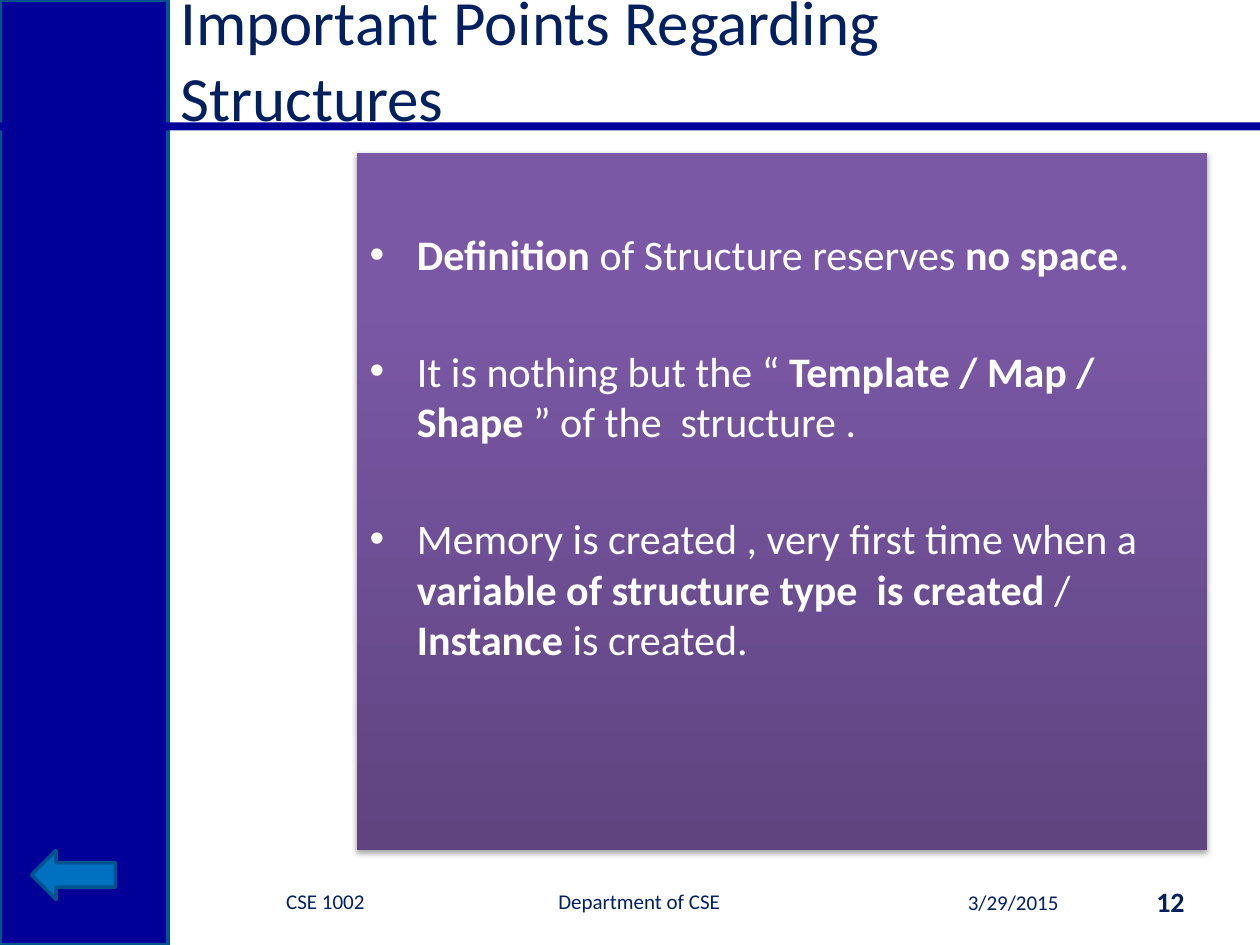
from pptx import Presentation
from pptx.dml.color import RGBColor
from pptx.enum.shapes import MSO_SHAPE as Preset
from pptx.enum.text import MSO_ANCHOR as Anchor, MSO_AUTO_SIZE as AutoSize, PP_ALIGN as Align
from pptx.oxml import parse_xml
from pptx.oxml.ns import nsdecls
from pptx.util import Pt

COLORS = {
    "navy": "000099", "outline": "00538E", "text": "002060", "arrow": "0070C0",
    "white": "FFFFFF", "shadow": "000000",
}
PANEL_STOPS = [(0, "5F4480"), (80, "7B58A6"), (100, "7C57A8")]
BULLETS = [
    [("Definition ", True), ("of Structure reserves ", False), ("no space", True), (".", False)],
    [("It is nothing but the “", False), (" Template / Map / Shape ", True),
     ("” of the  structure .", False)],
    [("Memory is created , very first time when a ", False),
     ("variable of structure type  is created", True), (" / ", False),
     ("Instance", True), (" is created.", False)],
]


class SlideBuilder:
    font_name = "Calibri"

    def __init__(self, slide):
        self.slide = slide

    def place(self, shape, box):
        for name, value in zip(("left", "top", "width", "height"), box):
            setattr(shape, name, Pt(value))

    def frame(self, shape, **formats):
        frame = shape.text_frame
        settings = {"word_wrap": True, "auto_size": AutoSize.NONE,
                    "vertical_anchor": Anchor.MIDDLE, **formats}
        for name, value in settings.items():
            setattr(frame, name, value)
        return frame

    def run(self, paragraph, text, size, color="text", bold=False):
        run = paragraph.add_run()
        run.text = text
        formats = {"name": self.font_name, "size": Pt(size), "bold": bold}
        for name, value in formats.items():
            setattr(run.font, name, value)
        run.font.color.rgb = RGBColor.from_string(COLORS[color])

    def shape(self, preset, box, fill, line=None):
        shape = self.slide.shapes.add_shape(preset, *map(Pt, box))
        shape.shadow.inherit = False
        shape.fill.solid()
        shape.fill.fore_color.rgb = RGBColor.from_string(COLORS[fill])
        if line:
            shape.line.color.rgb = RGBColor.from_string(COLORS[line])
            shape.line.width = Pt(2)
        else:
            shape.line.fill.background()
        return shape

    def background(self, *args):
        shape = self.shape(*args)
        self.slide.shapes.title.element.addprevious(shape.element)

    def title(self, text, box):
        title = self.slide.shapes.title
        self.place(title, box)
        paragraph = self.frame(title).paragraphs[0]
        paragraph.alignment = Align.LEFT
        self.run(paragraph, text, 36)

    def body(self, bullets, box):
        body = self.slide.placeholders[1]
        self.place(body, box)
        self.slide.shapes.title.element.addprevious(body.element)
        stops = "".join(f'<a:gs pos="{position * 1000}"><a:srgbClr val="{color}"/></a:gs>'
                        for position, color in PANEL_STOPS)
        properties = body.element.spPr
        properties.append(parse_xml(
            f'<a:gradFill {nsdecls("a")}><a:gsLst>{stops}</a:gsLst>'
            '<a:lin ang="16200000" scaled="0"/></a:gradFill>'))
        properties.append(parse_xml(
            f'<a:effectLst {nsdecls("a")}><a:outerShdw blurRad="{Pt(3.1)}" dist="{Pt(1.8)}" '
            f'dir="5400000" rotWithShape="0"><a:srgbClr val="{COLORS["shadow"]}">'
            '<a:alpha val="35000"/></a:srgbClr></a:outerShdw></a:effectLst>'))
        frame = self.frame(body, vertical_anchor=Anchor.TOP, margin_top=Pt(43))
        for index, runs in enumerate(bullets):
            paragraph = frame.add_paragraph() if index else frame.paragraphs[0]
            paragraph.space_before = Pt(38 if index else 0)
            for text, bold in runs:
                self.run(paragraph, text, 24, "white", bold)

    def label(self, text, box, size=12, bold=False, align=Align.RIGHT, tab=None, **formats):
        shape = self.slide.shapes.add_textbox(*map(Pt, box))
        paragraph = self.frame(shape, **formats).paragraphs[0]
        paragraph.alignment = align
        if tab:
            paragraph._p.get_or_add_pPr().append(parse_xml(
                f'<a:tabLst {nsdecls("a")}><a:tab pos="{Pt(tab)}" algn="l"/></a:tabLst>'))
        self.run(paragraph, text, size, bold=bold)


def main():
    presentation = Presentation()
    presentation.slide_width, presentation.slide_height = Pt(720), Pt(540)
    builder = SlideBuilder(presentation.slides.add_slide(presentation.slide_layouts[1]))

    builder.background(Preset.RECTANGLE, (0, 0, 96, 540), "navy", "outline")
    builder.background(Preset.RECTANGLE, (0, 70, 720, 4.5), "navy")
    builder.body(BULLETS, (204, 87.5, 486, 398.5))
    builder.title("Important Points Regarding Structures", (96, 12, 522, 43))

    builder.label("3/29/2015", (504, 501, 108, 29))
    builder.label("CSE 1002\tDepartment of CSE", (102, 500.5, 372, 29),
                  align=Align.LEFT, tab=155.5, margin_left=Pt(61.5))
    builder.label("12", (630, 500.5, 54, 29), size=16, bold=True)
    builder.shape(Preset.LEFT_ARROW, (18, 486, 48, 28), "arrow", "outline")

    presentation.save("out.pptx")


if __name__ == "__main__":
    main()
